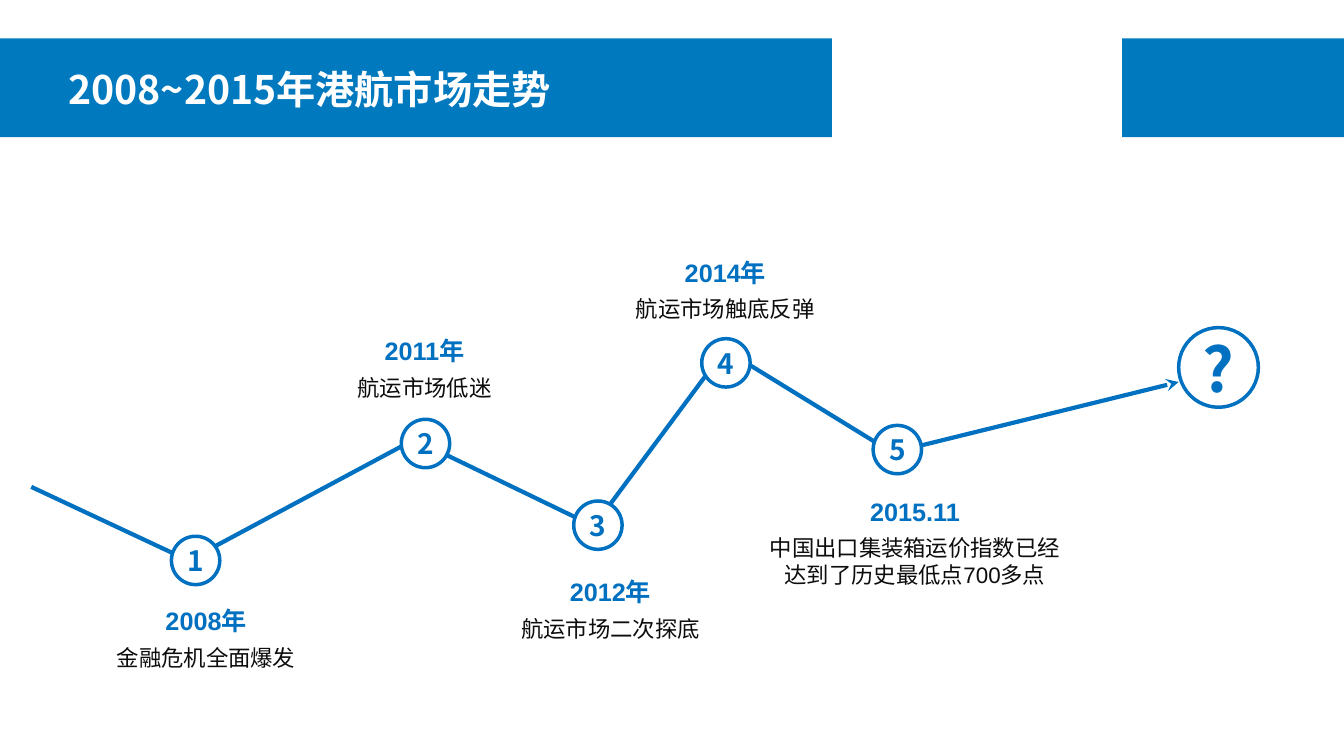
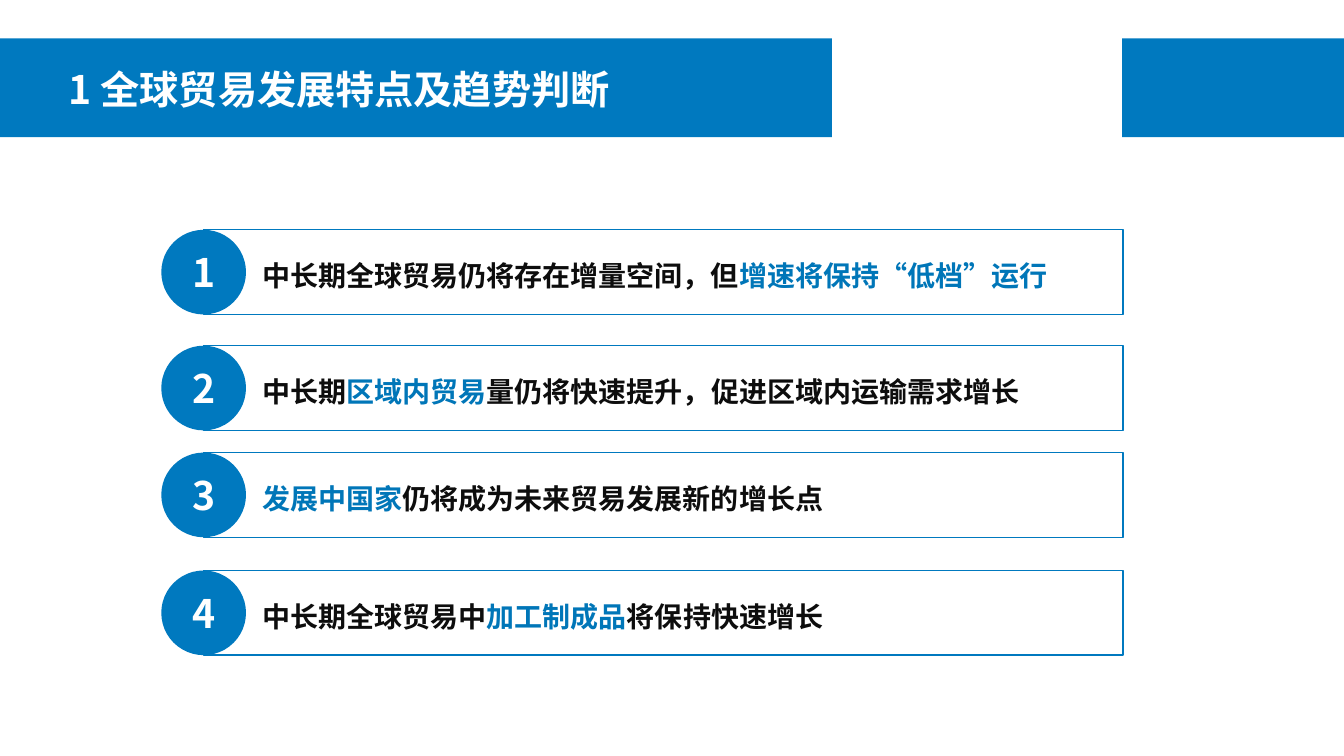
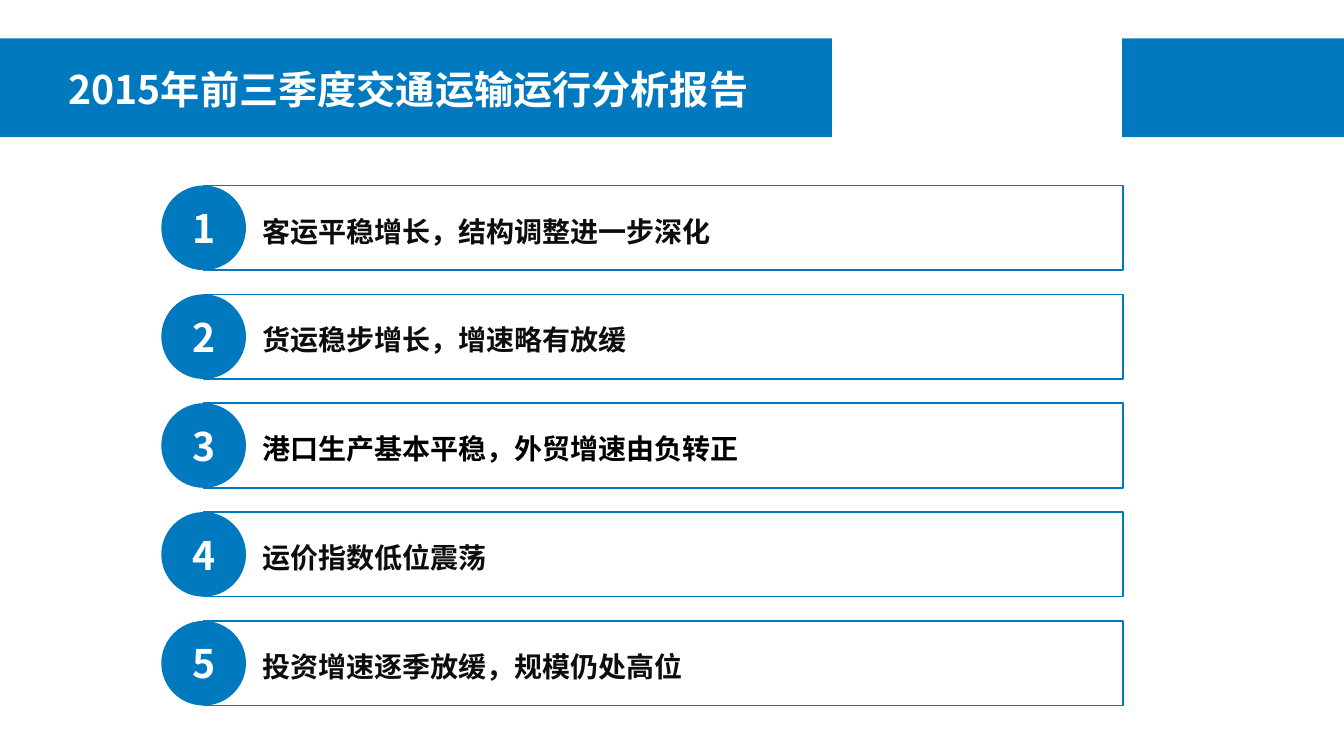
import pptx
import pptx.dml.color
import pptx.enum.shapes
import pptx.enum.text
import pptx.oxml.ns
import pptx.util
import lxml.etree

Inches = pptx.util.Inches
Shape = pptx.enum.shapes.MSO_SHAPE
Align = pptx.enum.text.PP_ALIGN
Anchor = pptx.enum.text.MSO_ANCHOR
AutoSize = pptx.enum.text.MSO_AUTO_SIZE

# Shared look
BAND, LINE, ACCENT = "0079BF", "0070C0", "0076B8"
WHITE, INK, BLACK = "FFFFFF", "0D0D0D", "000000"
SANS, LATIN = "Noto Sans CJK SC", "Arial"


def color(value):
    return pptx.dml.color.RGBColor.from_string(value)


def add_span(para, text, size, tint, bold=True, font=SANS):
    """Add one formatted run; Chinese text always uses the CJK font."""
    span = para.add_run()
    span.text = text
    span.font.size = pptx.util.Pt(size)
    span.font.bold = bold
    span.font.color.rgb = color(tint)
    span.font.name = font
    properties = span.font._element
    east_asian = lxml.etree.SubElement(properties, pptx.oxml.ns.qn("a:ea"))
    east_asian.set("typeface", SANS)


def set_margins(frame, margin):
    frame.margin_left = frame.margin_right = Inches(margin)
    frame.margin_top = frame.margin_bottom = Inches(margin)


def set_line(shape, tint, width):
    if tint is None:
        shape.line.fill.background()
    else:
        shape.line.color.rgb = color(tint)
        shape.line.width = pptx.util.Pt(width)


def add_block(shapes, kind, left, top, width, height, fill, line=None, line_width=1):
    box = shapes.add_shape(kind, Inches(left), Inches(top), Inches(width), Inches(height))
    box.shadow.inherit = False
    box.fill.solid()
    box.fill.fore_color.rgb = color(fill)
    set_line(box, line, line_width)
    return box


def add_disc(shapes, left, top, diameter, text, size, fill, tint, line=None):
    """Circle with a centred number or sign."""
    disc = add_block(shapes, Shape.OVAL, left, top, diameter, diameter, fill, line, 2.5)
    frame = disc.text_frame
    frame.word_wrap = False
    frame.vertical_anchor = Anchor.MIDDLE
    set_margins(frame, 0)
    frame.paragraphs[0].alignment = Align.CENTER
    add_span(frame.paragraphs[0], text, size, tint)


def add_text(shapes, left, top, width, height):
    box = shapes.add_textbox(Inches(left), Inches(top), Inches(width), Inches(height))
    box.text_frame.word_wrap = True
    box.text_frame.auto_size = AutoSize.SHAPE_TO_FIT_TEXT
    return box.text_frame


def put_bands_on_layout(page):
    """Draw the two title bands and hand them to the layout all pages share."""
    tree = page.slide_layout.shapes.element
    for left, width in ((0, 8.25), (11.13, 2.2)):
        band = add_block(page.shapes, Shape.RECTANGLE, left, 0.38, width, 0.98, BAND)
        tree.insert(2, band.element)


def add_page(deck, title):
    page = deck.slides.add_slide(deck.slide_layouts[5])
    box = page.shapes.title
    box.left, box.top = Inches(0.58), Inches(0.61)
    box.width, box.height = Inches(7.26), Inches(0.6)
    frame = box.text_frame
    frame.word_wrap = True
    frame.auto_size = AutoSize.NONE
    frame.vertical_anchor = Anchor.MIDDLE
    para = frame.paragraphs[0]
    para.alignment = Align.LEFT
    para.line_spacing = 0.9
    para.space_before = pptx.util.Pt(10)
    add_span(para, title, 28, WHITE)
    return page


# Timeline page
def add_trend_line(page, points):
    # The builder rounds its points, so they are given in whole EMU
    corners = [(Inches(across), Inches(down)) for across, down in points]
    builder = page.shapes.build_freeform(*corners[0])
    builder.add_line_segments(corners[1:], close=False)
    trend = builder.convert_to_shape()
    trend.shadow.inherit = False
    trend.fill.background()
    set_line(trend, LINE, 3)
    outline = trend.line._get_or_add_ln()
    arrow = lxml.etree.SubElement(outline, pptx.oxml.ns.qn("a:tailEnd"))
    arrow.set("type", "stealth")


def add_event(page, left, top, width, date, event, event_height=0.37):
    """Date with a short description beneath it."""
    shapes = page.shapes.add_group_shape().shapes
    rows = ((0, 0.4, date, 18, LINE, True),
            (0.38, event_height, event, 16, INK, False))
    for offset, height, text, size, tint, bold in rows:
        para = add_text(shapes, left, top + offset, width, height).paragraphs[0]
        para.alignment = Align.CENTER
        add_span(para, text, size, tint, bold, LATIN)


def build_timeline(deck):
    page = add_page(deck, "2008~2015年港航市场走势")
    put_bands_on_layout(page)
    add_trend_line(page, [(0.31, 4.83), (1.87, 5.56), (4.11, 4.36), (5.89, 5.22),
                          (7.19, 3.47), (8.85, 4.49), (11.69, 3.79)])
    stops = [(1.7, 5.32), (3.98, 4.16), (5.69, 4.97), (6.96, 3.36), (8.66, 4.22)]
    for number, (left, top) in enumerate(stops, 1):
        add_disc(page.shapes, left, top, 0.48, str(number), 20, WHITE, LINE, LINE)
    add_disc(page.shapes, 11.69, 3.25, 0.79, "?", 44, WHITE, LINE, LINE)
    add_event(page, 0.58, 5.96, 2.93, "2008年", "金融危机全面爆发")
    add_event(page, 3.4, 3.28, 1.62, "2011年", "航运市场低迷")
    add_event(page, 4.59, 5.67, 2.93, "2012年", "航运市场二次探底")
    add_event(page, 5.73, 2.5, 2.93, "2014年", "航运市场触底反弹")
    add_event(page, 7.43, 4.87, 3.29, "2015.11",
              "中国出口集装箱运价指数已经达到了历史最低点700多点", 0.64)


# Numbered list pages
def add_list_item(page, left, top, number, spans):
    """Framed bar with a numbered disc on its left end."""
    size = 0.84
    shapes = page.shapes.add_group_shape().shapes
    add_block(shapes, Shape.RECTANGLE, left + size / 2, top, 9.12, size, WHITE, BAND)
    add_disc(shapes, left, top, size, str(number), 28, BAND, WHITE)
    frame = add_text(shapes, left + 1, top + 0.2, 8.17, 0.38)
    set_margins(frame, 0)
    para = frame.paragraphs[0]
    para.line_spacing = 1.25
    for text, tint in spans:
        add_span(para, text, 20, tint)


def build_list(deck, title, tops, items):
    page = add_page(deck, title)
    for number, (top, spans) in enumerate(zip(tops, items), 1):
        add_list_item(page, 1.6, top, number, spans)


def main():
    deck = pptx.Presentation()
    deck.slide_width, deck.slide_height = Inches(13.33), Inches(7.5)
    build_timeline(deck)
    build_list(deck, "1 全球贸易发展特点及趋势判断", [2.28, 3.43, 4.49, 5.66], [
        [("中长期全球贸易仍将存在增量空间，但", INK), ("增速将保持“低档”运行", ACCENT)],
        [("中长期", INK), ("区域内贸易", ACCENT),
         ("量仍将快速提升，促进区域内运输需求增长", INK)],
        [("发展中国家", ACCENT), ("仍将成为未来贸易发展新的增长点", INK)],
        [("中长期全球贸易中", INK), ("加工制成品", ACCENT), ("将保持快速增长", INK)],
    ])
    build_list(deck, "2015年前三季度交通运输运行分析报告", [1.84 + 1.08 * row for row in range(5)], [
        [("客运平稳增长，结构调整进一步深化", INK)],
        [("货运稳步增长，增速略有放缓", INK)],
        [("港口生产基本平稳，外贸增速由负转正", BLACK)],
        [("运价指数低位震荡", INK)],
        [("投资增速逐季放缓，规模仍处高位", INK)],
    ])
    deck.save("out.pptx")


if __name__ == "__main__":
    main()
